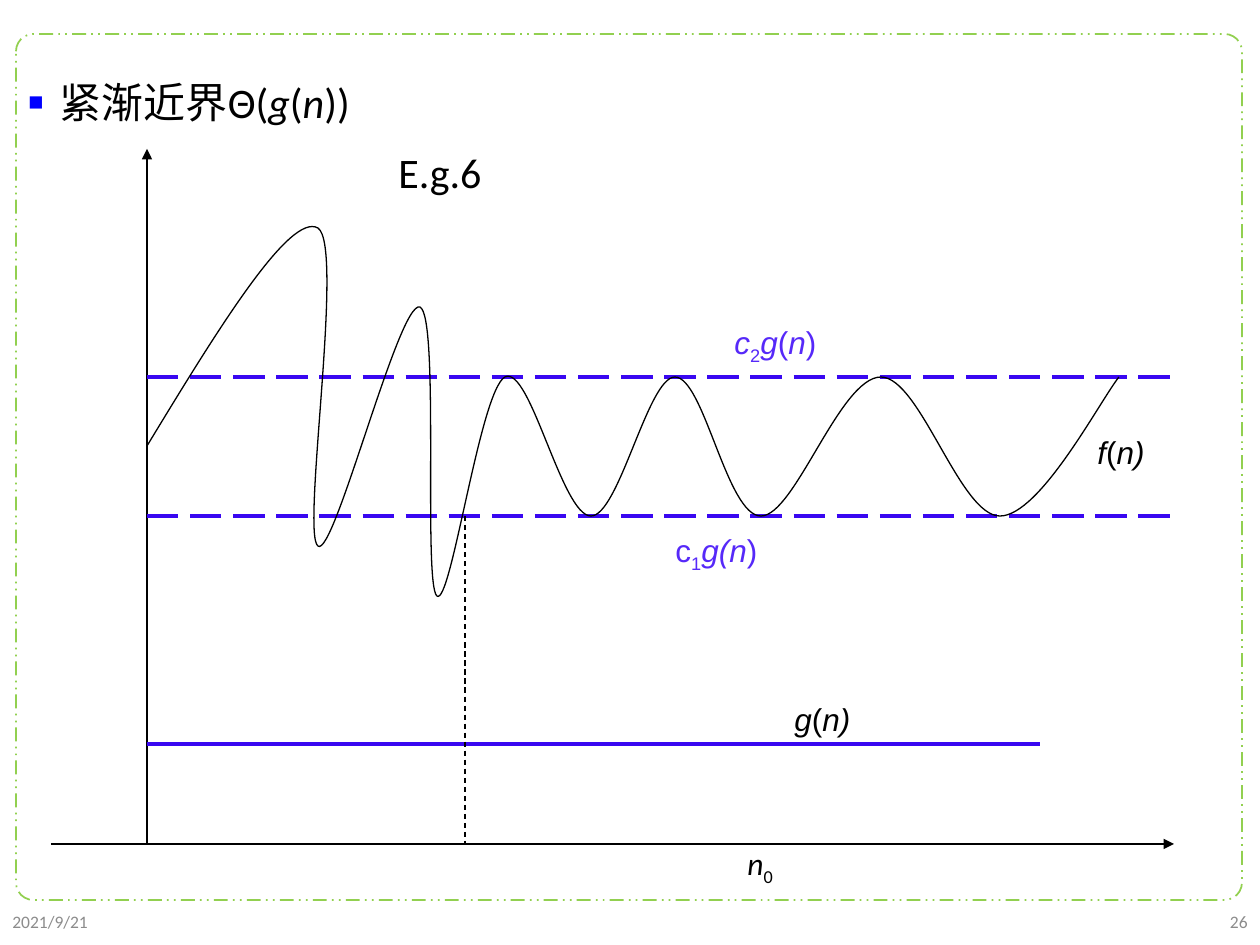
from dataclasses import dataclass
from typing import Optional

import pptx
import pptx.dml.color
import pptx.enum.dml
import pptx.enum.shapes
import pptx.enum.text
import pptx.oxml.ns
import pptx.util
from lxml import etree

PX = 914400 // 126
DASH = pptx.enum.dml.MSO_LINE
ALIGN = pptx.enum.text.PP_ALIGN


@dataclass(frozen=True)
class Theme:
    ink: str = "000000"
    muted: str = "8C8C8C"
    bound: str = "3907F1"
    bound_label: str = "5629F9"
    frame: str = "92D050"
    bullet: str = "0000FF"
    heading: int = 24
    label: int = 18
    footer: int = 10
    body_font: str = "Calibri"
    label_font: str = "Arial"
    chinese_font: str = "Noto Sans CJK SC"


THEME = Theme()


@dataclass(frozen=True)
class Run:
    text: str
    italic: bool = False
    subscript: bool = False


@dataclass(frozen=True)
class Label:
    box: tuple[int, int, int, int]
    runs: tuple[Run, ...]
    size: int = THEME.label
    font: str = THEME.label_font
    color: str = THEME.ink
    align: ALIGN = ALIGN.LEFT
    middle: bool = False
    wrap: bool = True


@dataclass(frozen=True)
class Rule:
    start: tuple[int, int]
    end: tuple[int, int]
    color: str = THEME.ink
    width: float = 0.75
    dash: Optional[DASH] = None
    arrow: bool = False


AXIS_X, AXIS_Y, RIGHT = 147, 844, 1174
UPPER, LOWER, G_LEVEL = 377, 516, 744
N0_X = 465

RULES = (
    Rule((51, AXIS_Y), (RIGHT, AXIS_Y), arrow=True),
    Rule((AXIS_X, AXIS_Y), (AXIS_X, 149), arrow=True),
    Rule((AXIS_X, G_LEVEL), (1040, G_LEVEL), THEME.bound, 2.25),
    Rule((AXIS_X, LOWER), (RIGHT, LOWER), THEME.bound, 2.25, DASH.LONG_DASH),
    Rule((AXIS_X, UPPER), (RIGHT, UPPER), THEME.bound, 2.25, DASH.LONG_DASH),
    Rule((N0_X, LOWER), (N0_X, AXIS_Y), dash=DASH.DASH),
)

# Start point, then two control points and an end point for each arc.
F_CURVE = (
    (AXIS_X, 446),
    (218, 329), (290, 212), (318, 228),
    (345, 246), (301, 533), (318, 546),
    (334, 559), (399, 300), (420, 307),
    (440, 316), (423, 583), (437, 596),
    (451, 607), (480, 391), (505, UPPER),
    (530, 364), (562, LOWER), (591, LOWER),
    (619, LOWER), (648, UPPER), (675, UPPER),
    (704, UPPER), (727, LOWER), (761, LOWER),
    (795, LOWER), (840, UPPER), (881, UPPER),
    (920, UPPER), (960, LOWER), (1000, LOWER),
    (1040, LOWER), (1100, 401), (1119, UPPER),
)

HEADING = Label(
    (16, 45, 1226, 669),
    (Run("紧渐近界Θ"), Run("("), Run("g", True), Run("("), Run("n", True), Run("))")),
    THEME.heading, THEME.body_font,
)

LABELS = (
    Label((0, 900, 284, 43), (Run("2021/9/21"),), THEME.footer, THEME.body_font,
          THEME.muted, middle=True),
    Label((976, 900, 284, 43), (Run("26"),), THEME.footer, THEME.body_font,
          THEME.muted, ALIGN.RIGHT, middle=True),
    Label((386, 140, 110, 63), (Run("E.g.6"),), THEME.heading, THEME.body_font, wrap=False),
    Label((735, 838, 54, 50), (Run("n", True), Run("0", subscript=True)),
          font=THEME.body_font),
    Label((782, 694, 89, 50), (Run("g", True), Run("("), Run("n)", True))),
    Label((1085, 427, 89, 50), (Run("f", True), Run("("), Run("n)", True))),
    Label((663, 525, 108, 50),
          (Run("c"), Run("1", subscript=True), Run("g(n", True), Run(")")),
          color=THEME.bound_label),
    Label((722, 317, 108, 50),
          (Run("c", True), Run("2", subscript=True), Run("g", True), Run("("),
           Run("n", True), Run(")")),
          color=THEME.bound_label),
)


def rgb(color: str) -> pptx.dml.color.RGBColor:
    return pptx.dml.color.RGBColor.from_string(color)


def add_child(parent, tag: str, **attributes: str):
    return etree.SubElement(parent, pptx.oxml.ns.qn(tag), attributes)


def style_line(line, color: str, width: float, dash: Optional[DASH] = None) -> None:
    line.color.rgb = rgb(color)
    line.width = pptx.util.Pt(width)
    if dash is not None:
        line.dash_style = dash


def draw_frame(slide) -> None:
    frame = slide.shapes.add_shape(
        pptx.enum.shapes.MSO_SHAPE.ROUNDED_RECTANGLE,
        *(side * PX for side in (16, 34, 1226, 866)))
    frame.adjustments[0] = 0.02
    frame.shadow.inherit = False
    frame.fill.background()
    style_line(frame.line, THEME.frame, 1, DASH.DASH_DOT_DOT)


def draw_rule(slide, rule: Rule) -> None:
    connector = slide.shapes.add_connector(
        pptx.enum.shapes.MSO_CONNECTOR.STRAIGHT,
        *(value * PX for value in rule.start + rule.end))
    style_line(connector.line, rule.color, rule.width, rule.dash)
    if rule.arrow:
        add_child(connector.line._get_or_add_ln(), "a:tailEnd", type="triangle")
    add_child(connector._element.spPr, "a:effectLst")


def draw_curve(slide, points: tuple[tuple[int, int], ...]) -> None:
    """Draw an open chain of cubic arcs through the given points."""
    builder = slide.shapes.build_freeform(*points[0], scale=PX)
    builder.add_line_segments(points[1:], close=False)
    curve = builder.convert_to_shape()
    segments = list(curve._element.iter(pptx.oxml.ns.qn("a:lnTo")))
    outline = segments[0].getparent()
    for first in range(0, len(segments), 3):
        arc = add_child(outline, "a:cubicBezTo")
        for segment in segments[first:first + 3]:
            arc.append(segment[0])
            outline.remove(segment)
    curve.shadow.inherit = False
    curve.fill.background()
    style_line(curve.line, THEME.ink, 0.75)


def draw_label(slide, label: Label, bulleted: bool = False):
    """Draw one paragraph of mixed runs and return it."""
    frame = slide.shapes.add_textbox(*(side * PX for side in label.box)).text_frame
    frame.word_wrap = label.wrap
    if label.middle:
        frame.vertical_anchor = pptx.enum.text.MSO_ANCHOR.MIDDLE
    paragraph = frame.paragraphs[0]
    paragraph.alignment = label.align
    if bulleted:
        add_square_bullet(paragraph)
    paragraph.font.size = pptx.util.Pt(label.size)
    paragraph.font.name = label.font
    paragraph.font.color.rgb = rgb(label.color)
    for part in label.runs:
        run = paragraph.add_run()
        run.text = part.text
        if part.italic:
            run.font.italic = True
        if part.subscript:
            run.font._element.set("baseline", "-25000")
    return paragraph


def add_square_bullet(paragraph) -> None:
    paragraph.line_spacing = 1.5
    properties = paragraph._p.get_or_add_pPr()
    properties.set("marL", "228600")
    properties.set("indent", "-228600")
    add_child(add_child(properties, "a:buClr"), "a:srgbClr", val=THEME.bullet)
    add_child(properties, "a:buSzPct", val="60000")
    add_child(properties, "a:buFont", typeface=THEME.label_font)
    add_child(properties, "a:buChar", char="■")


def main() -> None:
    presentation = pptx.Presentation()
    presentation.slide_width = pptx.util.Inches(10)
    presentation.slide_height = pptx.util.Inches(7.5)
    slide = presentation.slides.add_slide(presentation.slide_layouts[6])
    draw_frame(slide)
    heading = draw_label(slide, HEADING, bulleted=True)
    add_child(heading.runs[0].font._element, "a:ea", typeface=THEME.chinese_font)
    for rule in RULES:
        draw_rule(slide, rule)
    draw_curve(slide, F_CURVE)
    for label in LABELS:
        draw_label(slide, label)
    presentation.save("out.pptx")


if __name__ == "__main__":
    main()
